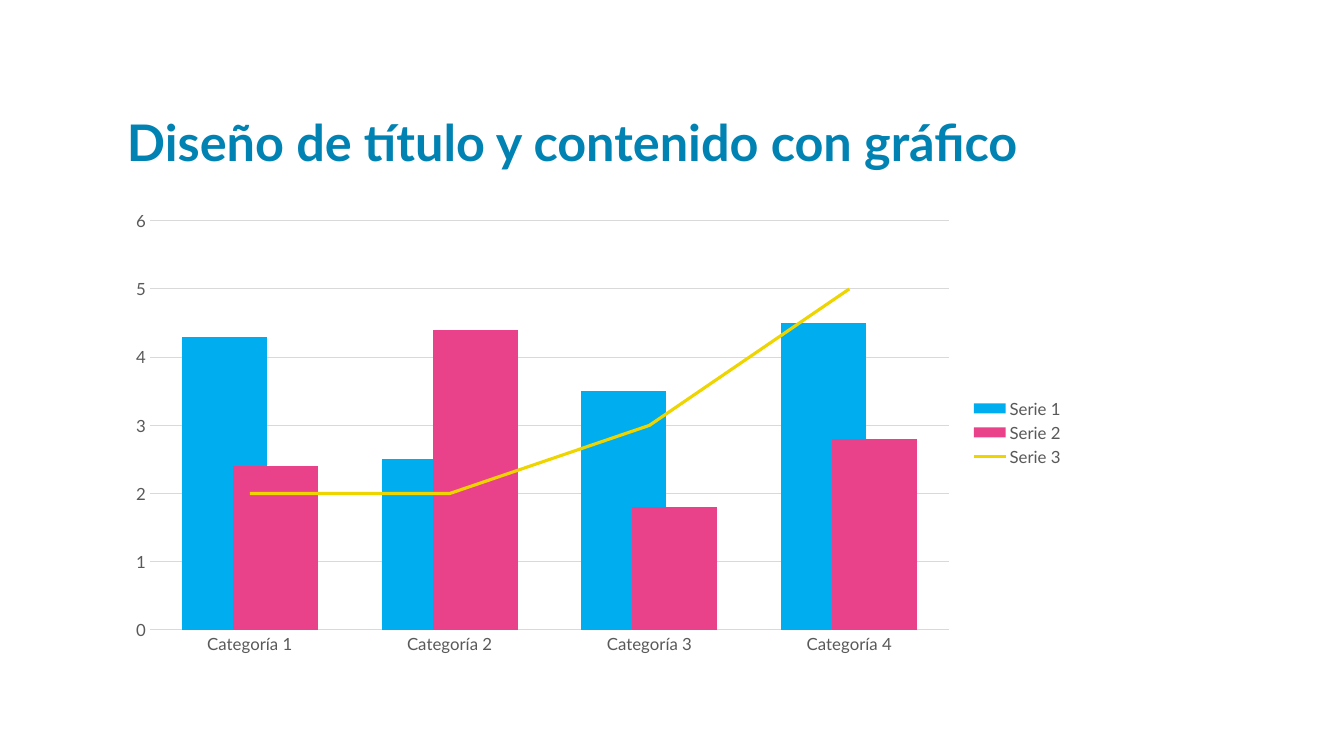
from lxml import etree
from pptx import Presentation
from pptx import util as u
from pptx.chart import data as cd
from pptx.dml import color as col
from pptx.enum import chart as ch
from pptx.enum import text as tx
from pptx.oxml import ns

FONT = "Lato"
GRAY = "595959"
RULE = "D9D9D9"
LEFT, WIDE = u.Cm(2.95), u.Cm(24.13)
CATS = ["Categoría 1", "Categoría 2", "Categoría 3", "Categoría 4"]
BARS = [
    ("Serie 1", (4.3, 2.5, 3.5, 4.5), "00AEEF"),
    ("Serie 2", (2.4, 4.4, 1.8, 2.8), "EA428A"),
]
TREND = ("Serie 3", (2, 2, 3, 5), "EED500")


def rgb(code):
    return col.RGBColor.from_string(code)


def style(font, size, color, bold=False):
    font.name = FONT
    font.size = u.Pt(size)
    font.bold = bold
    font.color.rgb = rgb(color)


def stroke(line, color, width):
    line.color.rgb = rgb(color)
    line.width = u.Pt(width)


def add_text(slide, words, top, high, size, color, bold=False, space=1.0):
    frame = slide.shapes.add_textbox(LEFT, top, WIDE, high).text_frame
    frame.word_wrap = True
    frame.vertical_anchor = tx.MSO_ANCHOR.BOTTOM
    para = frame.paragraphs[0]
    para.line_spacing = space
    run = para.add_run()
    run.text = words
    style(run.font, size, color, bold)


def split_line(chart):
    bar = chart.plots[0]._element
    last = bar.findall(ns.qn("c:ser"))[-1]
    line = bar.makeelement(ns.qn("c:lineChart"))
    bar.addnext(line)
    for tag, val in (("grouping", "standard"), ("varyColors", "0")):
        etree.SubElement(line, ns.qn("c:" + tag)).set("val", val)
    for flag in last.findall(ns.qn("c:invertIfNegative")):
        last.remove(flag)
    line.append(last)
    etree.SubElement(line, ns.qn("c:marker")).set("val", "1")
    for axis in bar.findall(ns.qn("c:axId")):
        etree.SubElement(line, ns.qn("c:axId")).set("val", axis.get("val"))


def format_axis(axis):
    axis.major_tick_mark = ch.XL_TICK_MARK.NONE
    axis.minor_tick_mark = ch.XL_TICK_MARK.NONE
    style(axis.tick_labels.font, 12, GRAY)


def add_legend(chart):
    chart.has_legend = True
    chart.legend.position = ch.XL_LEGEND_POSITION.RIGHT
    chart.legend.include_in_layout = False
    style(chart.legend.font, 12, GRAY)


def add_combo(slide, top, high):
    data = cd.CategoryChartData()
    data.categories = CATS
    for name, vals, _ in BARS + [TREND]:
        data.add_series(name, vals)
    kind = ch.XL_CHART_TYPE.COLUMN_CLUSTERED
    chart = slide.shapes.add_chart(kind, LEFT, top, WIDE, high, data).chart
    chart.has_title = False
    style(chart.font, 10, "000000")
    split_line(chart)

    bars, line = chart.plots
    bars.vary_by_categories = False
    bars.gap_width = 75
    bars.overlap = 40
    for ser, (_, _, color) in zip(bars.series, BARS):
        ser.format.fill.solid()
        ser.format.fill.fore_color.rgb = rgb(color)
    trend = line.series[0]
    trend.smooth = False
    trend.marker.style = ch.XL_MARKER_STYLE.NONE
    stroke(trend.format.line, TREND[2], 2.25)

    cats, vals = chart.category_axis, chart.value_axis
    format_axis(cats)
    format_axis(vals)
    stroke(cats.format.line, RULE, 0.75)
    vals.format.line.fill.background()
    vals.has_major_gridlines = True
    stroke(vals.major_gridlines.format.line, RULE, 0.75)
    add_legend(chart)


def main():
    deck = Presentation()
    deck.slide_width, deck.slide_height = u.Cm(33.87), u.Cm(19.05)
    slide = deck.slides.add_slide(deck.slide_layouts[6])
    add_text(slide, "Diseño de título y contenido con gráfico", u.Cm(1.47),
             u.Cm(2.97), 36, "0083B3", bold=True, space=0.8)
    add_combo(slide, u.Cm(5.08), u.Cm(11.63))
    deck.save("out.pptx")


if __name__ == "__main__":
    main()
